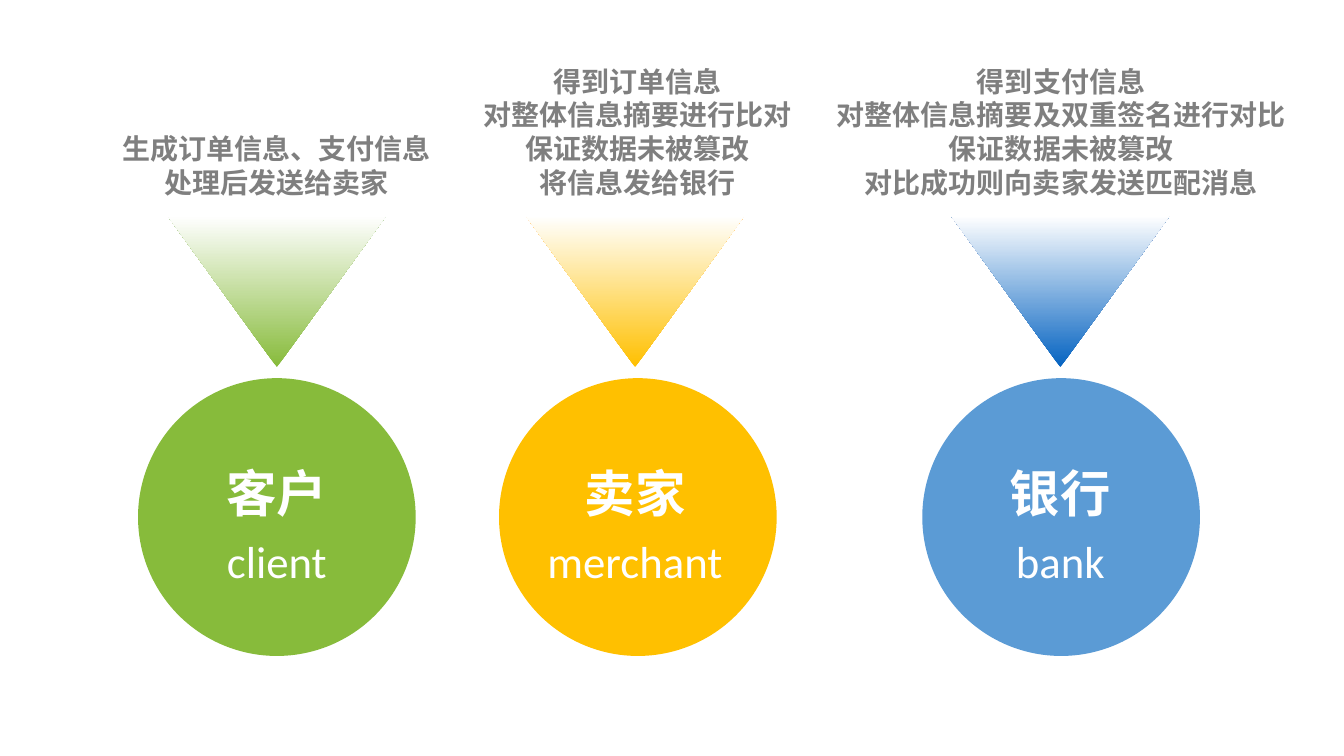
from dataclasses import dataclass

from pptx import Presentation
from pptx.dml.color import RGBColor
from pptx.enum.lang import MSO_LANGUAGE_ID
from pptx.enum.shapes import MSO_SHAPE
from pptx.enum.text import MSO_ANCHOR, PP_ALIGN
from pptx.slide import Slide
from pptx.util import Cm, Pt

CIRCLE = MSO_SHAPE.OVAL
CONE = MSO_SHAPE.ISOSCELES_TRIANGLE
CENTER = PP_ALIGN.CENTER
MIDDLE = MSO_ANCHOR.MIDDLE
CHINESE = MSO_LANGUAGE_ID.SIMPLIFIED_CHINESE

FONT = "Calibri"
WHITE = RGBColor(0xFF, 0xFF, 0xFF)
GRAY = RGBColor(0x7F, 0x7F, 0x7F)
GREEN = RGBColor(0x87, 0xBB, 0x3B)
AMBER = RGBColor(0xFF, 0xC0, 0x00)
BLUE = RGBColor(0x5B, 0x9B, 0xD5)
NAVY = RGBColor(0x05, 0x63, 0xC1)

# Lengths in centimetres
DISC = 7.0
DISC_TOP = 9.53
CONE_WIDTH = 5.51
CONE_HEIGHT = 3.81
CONE_TOP = 5.44
NOTE_END = 5.14
LINE = 0.85
INSETS = 0.25
LABEL_WIDTH = 7.5


@dataclass
class Party:
    name: str
    role: str
    notes: list[str]
    mid: float
    tip: float
    width: float
    color: RGBColor
    glow: RGBColor


@dataclass
class Style:
    size: int
    color: RGBColor
    bold: bool


NOTE = Style(20, GRAY, True)
NAME = Style(36, WHITE, True)
ROLE = Style(32, WHITE, False)

PARTIES = [
    Party("客户", "client",
          ["生成订单信息、支付信息", "处理后发送给卖家"],
          6.98, 6.98, 8.51, GREEN, GREEN),
    Party("卖家", "merchant",
          ["得到订单信息", "对整体信息摘要进行比对", "保证数据未被篡改", "将信息发给银行"],
          16.08, 16.01, 8.51, AMBER, AMBER),
    Party("银行", "bank",
          ["得到支付信息", "对整体信息摘要及双重签名进行对比", "保证数据未被篡改",
           "对比成功则向卖家发送匹配消息"],
          26.75, 26.73, 12.73, BLUE, NAVY),
]


def add_text(slide: Slide, lines: list[str], mid: float, top: float,
             width: float, height: float, style: Style) -> None:
    box = slide.shapes.add_textbox(Cm(mid - width / 2), Cm(top), Cm(width), Cm(height))
    frame = box.text_frame
    frame.word_wrap = True
    frame.vertical_anchor = MIDDLE
    for i, line in enumerate(lines):
        para = frame.add_paragraph() if i else frame.paragraphs[0]
        para.alignment = CENTER
        run = para.add_run()
        run.text = line
        run.font.name = FONT
        run.font.size = Pt(style.size)
        run.font.bold = style.bold
        run.font.color.rgb = style.color
        run.font.language_id = CHINESE


def add_cone(slide: Slide, party: Party) -> None:
    """Draw a triangle pointing down that fades to white at its top."""
    cone = slide.shapes.add_shape(CONE, Cm(party.tip - CONE_WIDTH / 2), Cm(CONE_TOP),
                                  Cm(CONE_WIDTH), Cm(CONE_HEIGHT))
    cone.shadow.inherit = False
    cone.line.fill.background()
    cone.fill.gradient()
    cone.fill.gradient_angle = 270
    for stop, color in zip(cone.fill.gradient_stops, (party.glow, WHITE)):
        stop.color.rgb = color
    cone.element.spPr.xfrm.set("flipV", "1")


def add_disc(slide: Slide, party: Party) -> None:
    disc = slide.shapes.add_shape(CIRCLE, Cm(party.mid - DISC / 2), Cm(DISC_TOP),
                                  Cm(DISC), Cm(DISC))
    disc.shadow.inherit = False
    disc.line.fill.background()
    disc.fill.solid()
    disc.fill.fore_color.rgb = party.color


def add_party(slide: Slide, party: Party) -> None:
    height = INSETS + LINE * len(party.notes)
    add_cone(slide, party)
    add_text(slide, party.notes, party.mid, NOTE_END - height, party.width, height, NOTE)
    add_disc(slide, party)
    add_text(slide, [party.role], party.tip, 13.32, LABEL_WIDTH, 1.63, ROLE)
    add_text(slide, [party.name], party.tip, 11.52, LABEL_WIDTH, 1.78, NAME)


def main() -> None:
    deck = Presentation()
    deck.slide_width = Cm(33.88)
    deck.slide_height = Cm(19.05)
    slide = deck.slides.add_slide(deck.slide_layouts.get_by_name("Blank"))
    for party in PARTIES:
        add_party(slide, party)
    deck.save("out.pptx")


if __name__ == "__main__":
    main()
